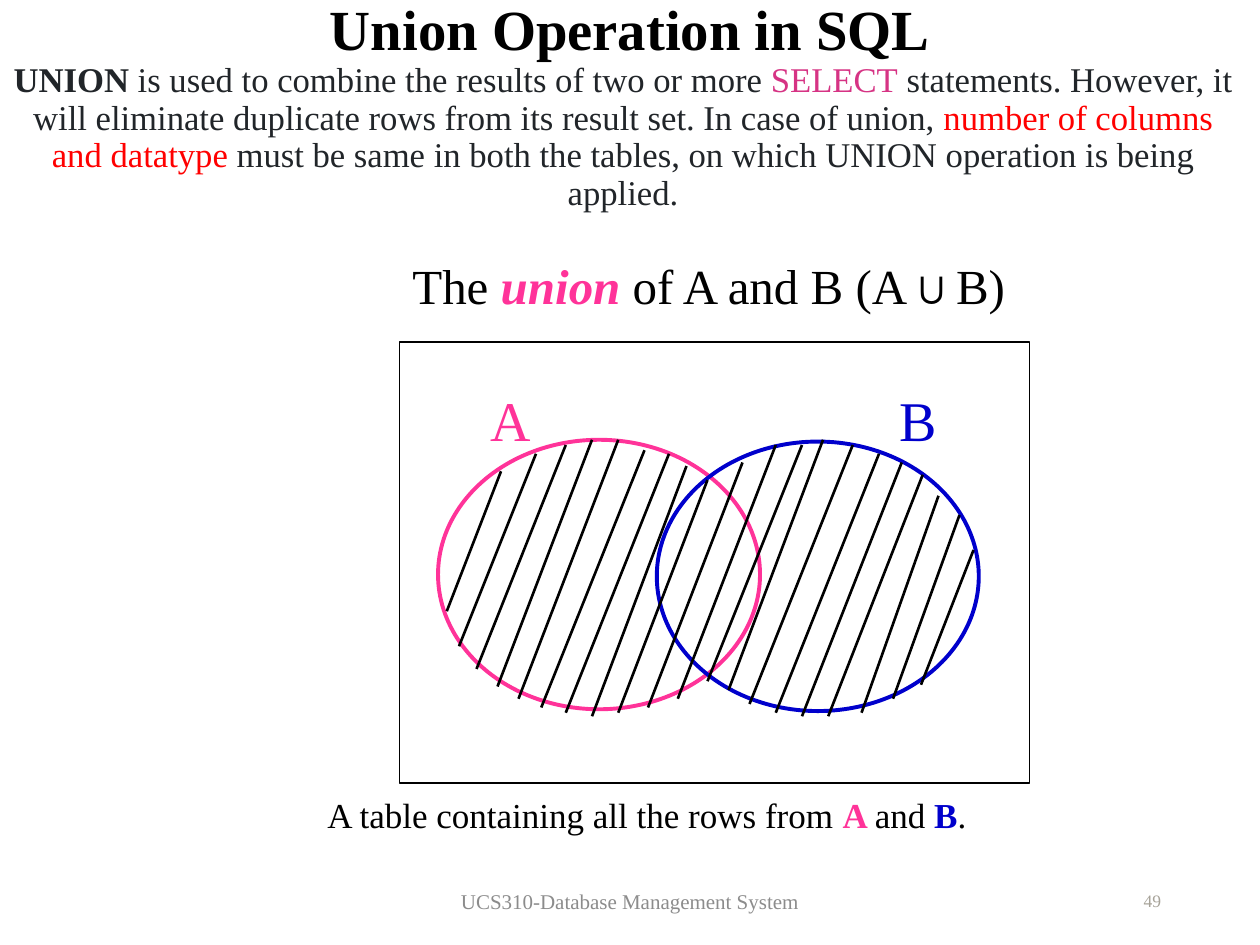
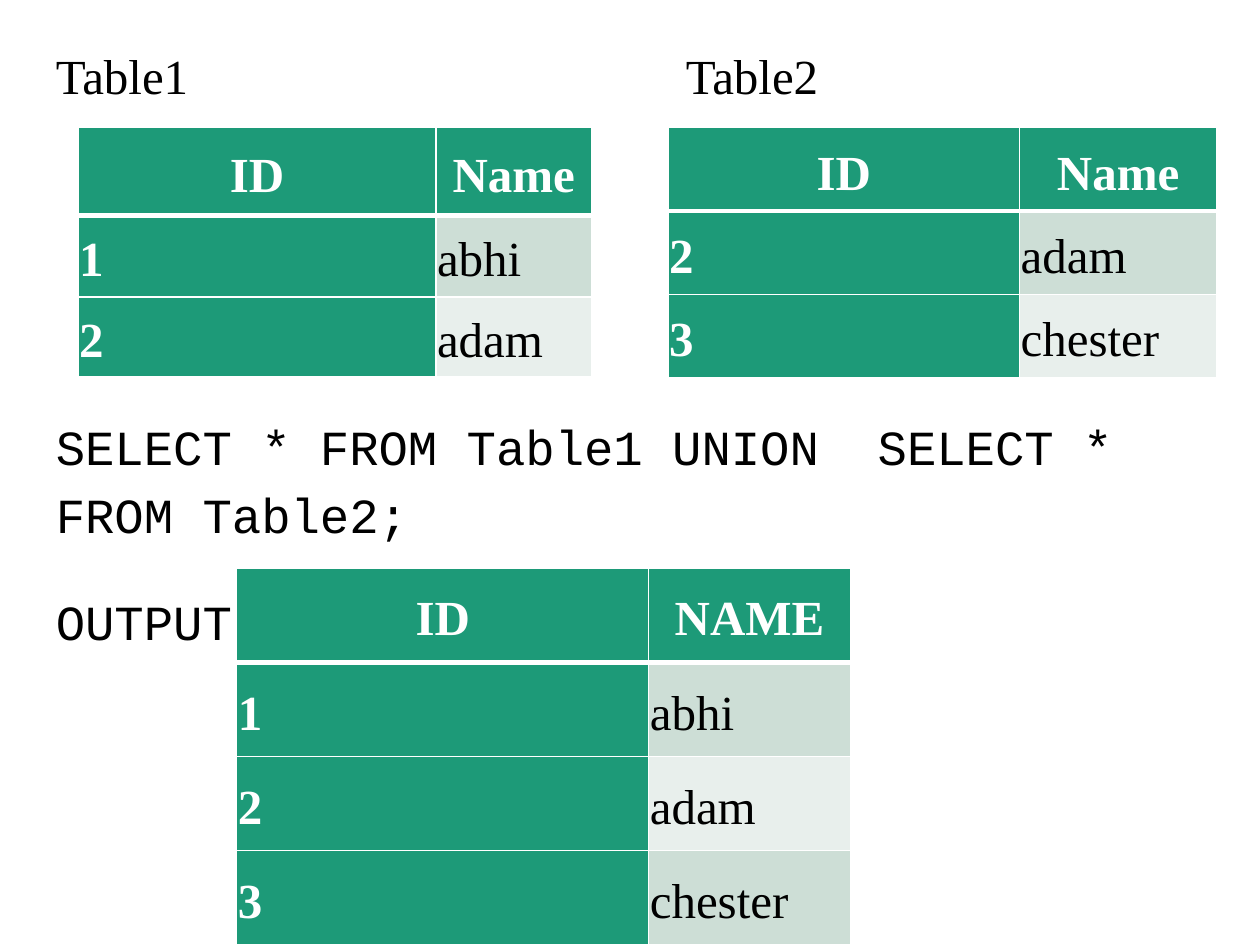
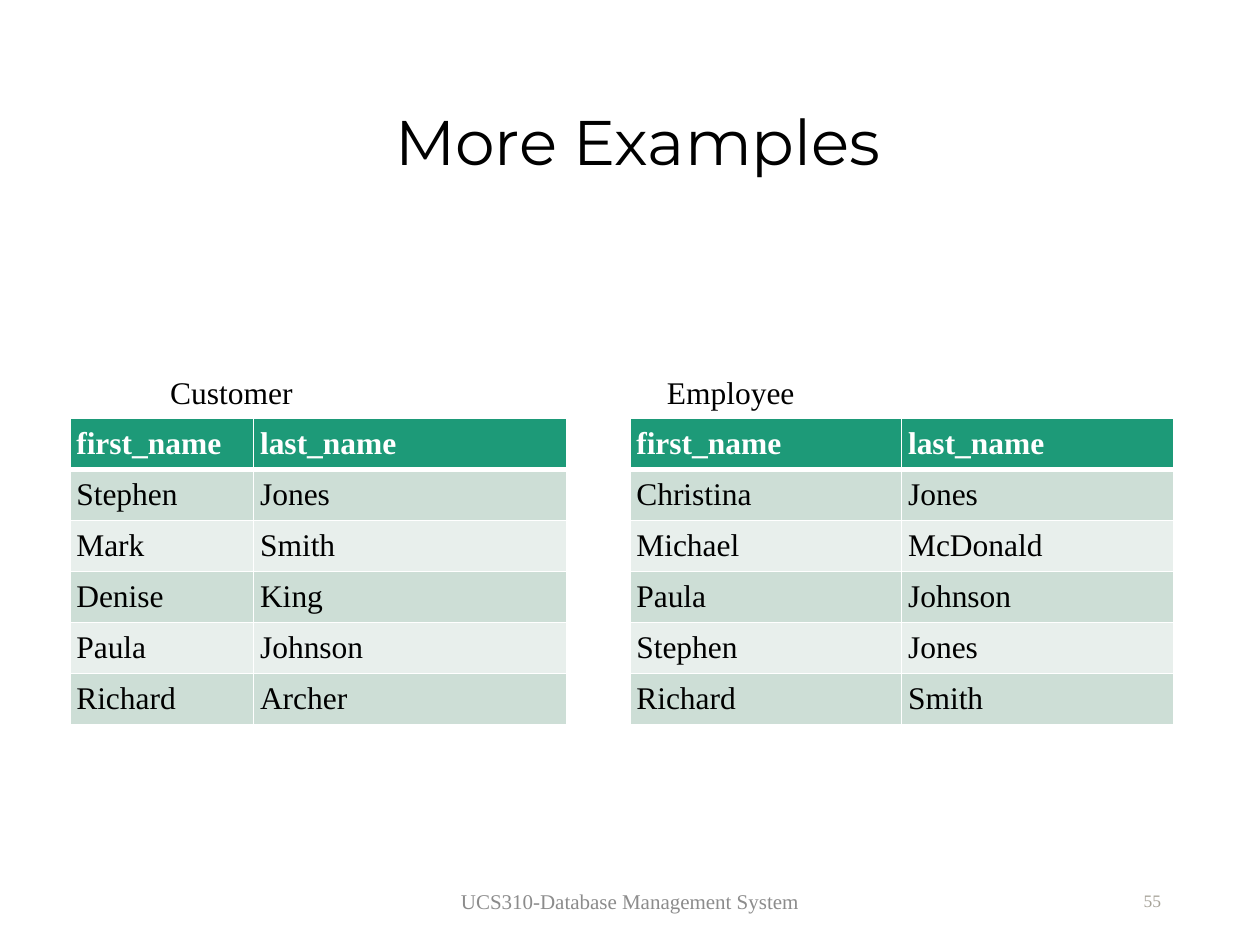
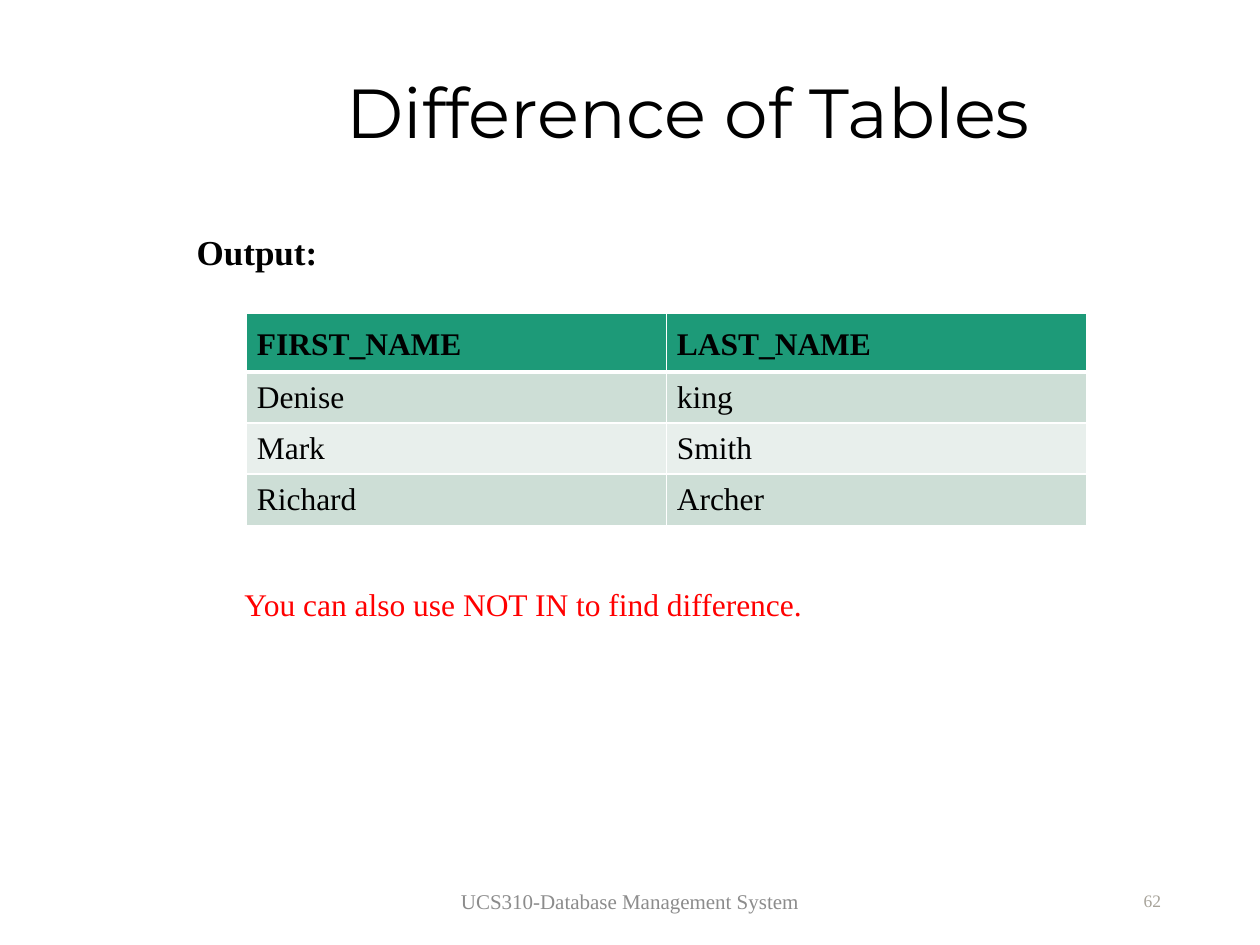
from collections import namedtuple
from dataclasses import dataclass

from lxml.etree import SubElement
from pptx import Presentation
from pptx.dml.color import RGBColor
from pptx.enum.shapes import MSO_CONNECTOR, MSO_SHAPE
from pptx.enum.text import MSO_ANCHOR, MSO_AUTO_SIZE, PP_ALIGN
from pptx.oxml.ns import qn
from pptx.util import Pt


@dataclass(frozen=True)
class Theme:
    # Fonts
    serif: str = "Times New Roman"
    display: str = "Montserrat"
    code: str = "Courier New"
    # Colours
    black: str = "000000"
    white: str = "FFFFFF"
    ink: str = "212529"
    red: str = "FF0000"
    keyword: str = "D63384"
    pink: str = "FF3399"
    blue: str = "0000CC"
    header: str = "1D9A78"
    band_dark: str = "CDDED6"
    band_light: str = "E8EFEC"
    footer: str = "8C8C8C"
    number: str = "A7A399"
    # Type sizes
    heading: float = 32.4
    intro: float = 19.8
    letter: float = 32
    large: float = 28
    text: float = 20
    table: float = 18
    footer_size: float = 12
    number_size: float = 10


T = Theme()
Box = namedtuple("Box", "x y w h")

FOOTER = "UCS310-Database Management System"
FOOTER_BOX = Box(238.5, 500.5, 243, 28.5)
NUMBER_BOX = Box(508.5, 500.5, 162, 28.5)

# Hatch lines (x1, y1, x2, y2), relative to the Venn frame
HATCHING = [
    (58, 74, 27, 154), (78, 64, 34, 174), (95, 59, 44, 187), (110, 56, 56, 197),
    (125, 56, 68, 204), (140, 62, 81, 209), (154, 64, 95, 212), (164, 71, 110, 214),
    (176, 79, 125, 212), (196, 69, 142, 209), (215, 59, 159, 204), (230, 59, 176, 194),
    (242, 56, 188, 199), (259, 59, 200, 207), (274, 64, 215, 212), (287, 69, 230, 214),
    (299, 76, 245, 214), (308, 88, 264, 212), (320, 99, 282, 204), (328, 119, 298, 196),
]


# Shared helpers

def rgb(value):
    return RGBColor.from_string(value)


def emu(box):
    return [Pt(v) for v in box]


def place(shape, box):
    shape.left, shape.top, shape.width, shape.height = emu(box)


def style(font, size, color=T.black, name=T.serif, bold=False, italic=False):
    font.size, font.name, font.bold, font.italic = Pt(size), name, bold, italic
    font.color.rgb = rgb(color)


def write(p, runs, size, align=PP_ALIGN.LEFT):
    """Fill a paragraph from (text, style overrides) pairs."""
    p.alignment = align
    for text, look in runs:
        r = p.add_run()
        r.text = text
        style(r.font, size, **look)


def add_text(shapes, box, runs, size, align=PP_ALIGN.LEFT,
             anchor=MSO_ANCHOR.TOP, inset=None):
    tf = shapes.add_textbox(*emu(box)).text_frame
    tf.word_wrap, tf.vertical_anchor = True, anchor
    if inset is not None:
        tf.margin_left = tf.margin_right = tf.margin_top = tf.margin_bottom = Pt(inset)
    write(tf.paragraphs[0], runs, size, align)


def add_outline(shapes, kind, box, color, width):
    sp = shapes.add_shape(kind, *emu(box))
    sp.shadow.inherit = False
    sp.fill.background()
    sp.line.color.rgb, sp.line.width = rgb(color), Pt(width)
    return sp


def indent(p, left):
    pPr = p._p.get_or_add_pPr()
    pPr.set("marL", str(Pt(left)))
    pPr.set("indent", "0")
    return pPr


def add_footer(s, number):
    add_text(s.shapes, FOOTER_BOX, [(FOOTER, {"color": T.footer})],
             T.footer_size, PP_ALIGN.CENTER, MSO_ANCHOR.MIDDLE)
    add_text(s.shapes, NUMBER_BOX, [(number, {"color": T.number})],
             T.number_size, PP_ALIGN.RIGHT, MSO_ANCHOR.MIDDLE)


def title_frame(s, box, anchor):
    place(s.shapes.title, box)
    tf = s.shapes.title.text_frame
    tf.word_wrap, tf.vertical_anchor, tf.auto_size = True, anchor, MSO_AUTO_SIZE.NONE
    return tf


def add_title(s, box, text, size, bottom, left=0):
    tf = title_frame(s, box, MSO_ANCHOR.BOTTOM)
    tf.margin_bottom = Pt(bottom)
    tf.text = text
    p = tf.paragraphs[0]
    p.alignment, p.line_spacing = PP_ALIGN.CENTER, 0.9
    indent(p, left)
    style(p.runs[0].font, size, name=T.display)


# Tables

def set_borders(cell, row):
    """White rules, with a thick one below the header."""
    tcPr = cell._tc.get_or_add_tcPr()
    widths = {"L": 1, "R": 1, "T": 3 if row == 1 else 1, "B": 3 if row == 0 else 1}
    for side, width in widths.items():
        ln = SubElement(tcPr, qn(f"a:ln{side}"), w=str(Pt(width)))
        SubElement(SubElement(ln, qn("a:solidFill")), qn("a:srgbClr"), val=T.white)


def add_table(s, x, y, cols, heights, rows, size=T.table, margins=(3.6, 3.6, 3.6),
              head_color=T.white, head_anchor=MSO_ANCHOR.MIDDLE, key_column=False):
    """margins: sides, header top and bottom, body top and bottom."""
    box = Box(x, y, sum(cols), sum(heights))
    table = s.shapes.add_table(len(rows), len(cols), *emu(box)).table
    table.first_row, table.horz_banding, table.first_col = True, True, key_column
    for column, width in zip(table.columns, cols):
        column.width = Pt(width)
    for i, (height, values) in enumerate(zip(heights, rows)):
        table.rows[i].height = Pt(height)
        for j, value in enumerate(values):
            cell = table.cell(i, j)
            strong = i == 0 or (key_column and j == 0)
            band = T.band_dark if i % 2 else T.band_light
            set_borders(cell, i)
            cell.fill.solid()
            cell.fill.fore_color.rgb = rgb(T.header if strong else band)
            cell.margin_left = cell.margin_right = Pt(margins[0])
            cell.margin_top = cell.margin_bottom = Pt(margins[1 if i == 0 else 2])
            cell.vertical_anchor = head_anchor if i == 0 else MSO_ANCHOR.MIDDLE
            cell.text = value
            p = cell.text_frame.paragraphs[0]
            if key_column:
                p.line_spacing = 1.15
                p.alignment = PP_ALIGN.CENTER if i == 0 else PP_ALIGN.LEFT
            style(p.runs[0].font, size, head_color if strong else T.black, bold=strong)


def add_id_table(s, x, y, cols, heights, rows):
    add_table(s, x, y, cols, heights, rows, T.large, (0.7, 0.7, 0.7), key_column=True)


# Union slide

def add_union_heading(s, box):
    tf = title_frame(s, box, MSO_ANCHOR.TOP)
    tf.margin_top = Pt(1)
    p = tf.paragraphs[0]
    write(p, [("Union Operation in SQL", {"bold": True})], T.heading, PP_ALIGN.CENTER)
    p.line_spacing = 0.9
    indent(p, 8)
    p = tf.add_paragraph()
    ink, red = {"color": T.ink}, {"color": T.red}
    write(p, [
        ("UNION", {"color": T.ink, "bold": True}),
        (" is used to combine the results of two or more ", ink),
        ("SELECT", {"color": T.keyword}),
        (" statements. However, it will eliminate duplicate rows from its result set. "
         "In case of union, ", ink),
        ("number of columns and datatype", red),
        (" must be same in both the tables, on which UNION operation is being applied.", ink),
    ], T.intro, PP_ALIGN.CENTER)
    p.line_spacing, p.space_before = 0.9, Pt(0)
    indent(p, 0)


def add_venn(s, box):
    # Frame, circles and their letters
    venn = s.shapes.add_group_shape().shapes
    add_outline(venn, MSO_SHAPE.RECTANGLE, box, T.black, 1)
    circles = [("A", T.pink, 22, 56, 46.3), ("B", T.blue, 147, 57, 278.6)]
    for letter, color, x, y, letter_x in circles:
        add_outline(venn, MSO_SHAPE.OVAL, Box(box.x + x, box.y + y, 184, 154), color, 2.25)
        add_text(venn, Box(box.x + letter_x, box.y + 24.5, 35, 51),
                 [(letter, {"color": color})], T.letter, PP_ALIGN.CENTER, inset=0.7)
    # Hatching over both circles
    hatch = s.shapes.add_group_shape().shapes
    for x1, y1, x2, y2 in HATCHING:
        line = hatch.add_connector(MSO_CONNECTOR.STRAIGHT, Pt(box.x + x1), Pt(box.y + y1),
                                   Pt(box.x + x2), Pt(box.y + y2))
        line.line.color.rgb, line.line.width = rgb(T.black), Pt(1.5)
        SubElement(line._element.spPr, qn("a:effectLst"))


def union_slide(prs):
    s = prs.slides.add_slide(prs.slide_layouts[5])
    add_union_heading(s, Box(0, 0, 712, 167))
    add_venn(s, Box(228.3, 195.3, 360, 252))
    add_text(s.shapes, Box(222, 142.5, 366, 41), [
        ("The ", {}), ("union", {"color": T.pink, "bold": True, "italic": True}),
        (" of A and B (A∪B)", {})], T.large, PP_ALIGN.CENTER)
    add_text(s.shapes, Box(180, 450, 456, 32), [
        ("A table containing all the rows from ", {}),
        ("A ", {"color": T.pink, "bold": True}), ("and ", {}),
        ("B", {"color": T.blue, "bold": True}), (".", {})], T.text)
    add_footer(s, "49")


# Query slide

def add_query_text(s, box):
    body = s.placeholders[1]
    place(body, box)
    tf = body.text_frame
    tf.auto_size = MSO_AUTO_SIZE.NONE
    # text, font, line spacing, space before, space after
    lines = [
        ("Table1\tTable2", T.serif, 0.9, 0, 0),
        ("SELECT * FROM Table1 UNION  SELECT * FROM Table2;", T.code, 1.15, 173, 11.2),
        ("OUTPUT", T.code, 1.15, 11.2, 11.2),
    ]
    tf.text = "\n".join(line[0] for line in lines)
    for p, (text, font, spacing, before, after) in zip(tf.paragraphs, lines):
        pPr = indent(p, 0)
        pPr.set("defTabSz", str(Pt(360)))
        SubElement(pPr, qn("a:buNone"))
        p.line_spacing, p.space_before, p.space_after = spacing, Pt(before), Pt(after)
        for r in p.runs:
            style(r.font, T.large, name=font)


def query_slide(prs):
    s = prs.slides.add_slide(prs.slide_layouts[1])
    title = s.shapes.title._element
    title.getparent().remove(title)
    add_query_text(s, Box(24.7, 26.4, 657.5, 513))
    add_id_table(s, 44.6, 73, [204.5, 89], [50, 46.8, 45.6],
                 [("ID", "Name"), ("1", "abhi"), ("2", "adam")])
    add_id_table(s, 381.7, 73, [200.9, 112.6], [47.6] * 3,
                 [("ID", "Name"), ("2", "adam"), ("3", "chester")])
    add_id_table(s, 135.2, 324.7, [235.5, 115.2], [53.8] * 4,
                 [("ID", "NAME"), ("1", "abhi"), ("2", "adam"), ("3", "chester")])


# Example slides

def examples_slide(prs):
    s = prs.slides.add_slide(prs.slide_layouts[5])
    add_title(s, Box(0, 11, 720, 106), "More Examples", 36, bottom=14.8, left=9)
    header = ("first_name", "last_name")
    customers = [("Stephen", "Jones"), ("Mark", "Smith"), ("Denise", "King"),
                 ("Paula", "Johnson"), ("Richard", "Archer")]
    employees = [("Christina", "Jones"), ("Michael", "McDonald"), ("Paula", "Johnson"),
                 ("Stephen", "Jones"), ("Richard", "Smith")]
    groups = [("Customer", 90.2, 40, [105, 179], customers),
              ("Employee", 374, 360, [155.3, 155.3], employees)]
    for label, label_x, x, cols, people in groups:
        add_table(s, x, 239, cols, [29.2] * 6, [header] + people)
        add_text(s.shapes, Box(label_x, 209.5, 184, 29), [(label, {})], T.table)
    add_footer(s, "55")


def add_output_label(s, box):
    sp = add_outline(s.shapes, MSO_SHAPE.RECTANGLE, box, T.white, 3)
    tf = sp.text_frame
    tf.word_wrap, tf.vertical_anchor, tf.margin_top = True, MSO_ANCHOR.TOP, Pt(3.6)
    p = tf.paragraphs[0]
    write(p, [("Output:", {"bold": True})], T.text)
    p.line_spacing = 1.5


def difference_slide(prs):
    s = prs.slides.add_slide(prs.slide_layouts[5])
    add_title(s, Box(34.3, 0, 718, 90), "Difference of Tables", 39.6, bottom=2)
    add_output_label(s, Box(105.3, 116, 576, 126))
    rows = [("FIRST_NAME", "LAST_NAME"), ("Denise", "king"),
            ("Mark", "Smith"), ("Richard", "Archer")]
    add_table(s, 141, 179.2, [240, 240], [33.4] + [29.2] * 3, rows,
              margins=(5.8, 5.8, 2.9), head_color=T.black, head_anchor=MSO_ANCHOR.BOTTOM)
    add_text(s.shapes, Box(132.5, 331, 497, 29),
             [("You can also use NOT IN to find difference.", {"color": T.red})], T.table)
    add_footer(s, "62")


def main():
    prs = Presentation()
    prs.slide_width, prs.slide_height = Pt(720), Pt(540)
    union_slide(prs)
    query_slide(prs)
    examples_slide(prs)
    difference_slide(prs)
    prs.save("out.pptx")


if __name__ == "__main__":
    main()
